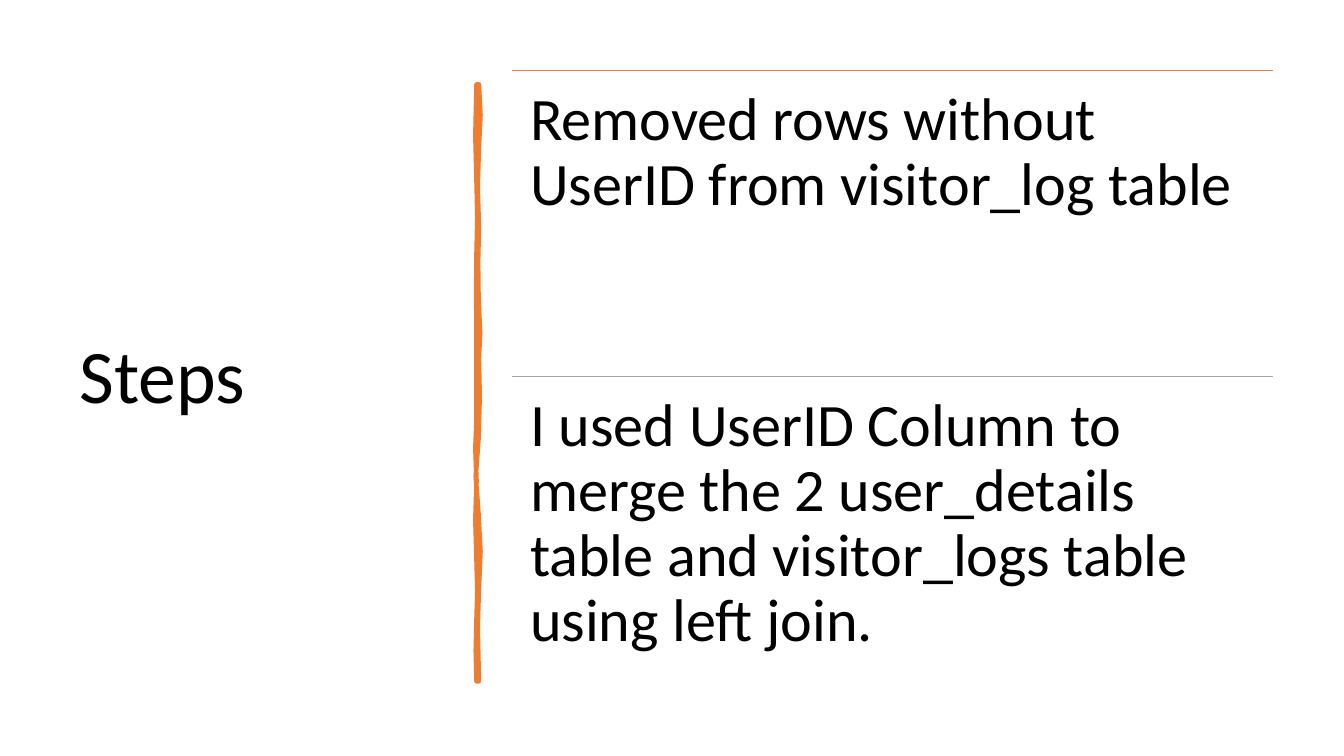
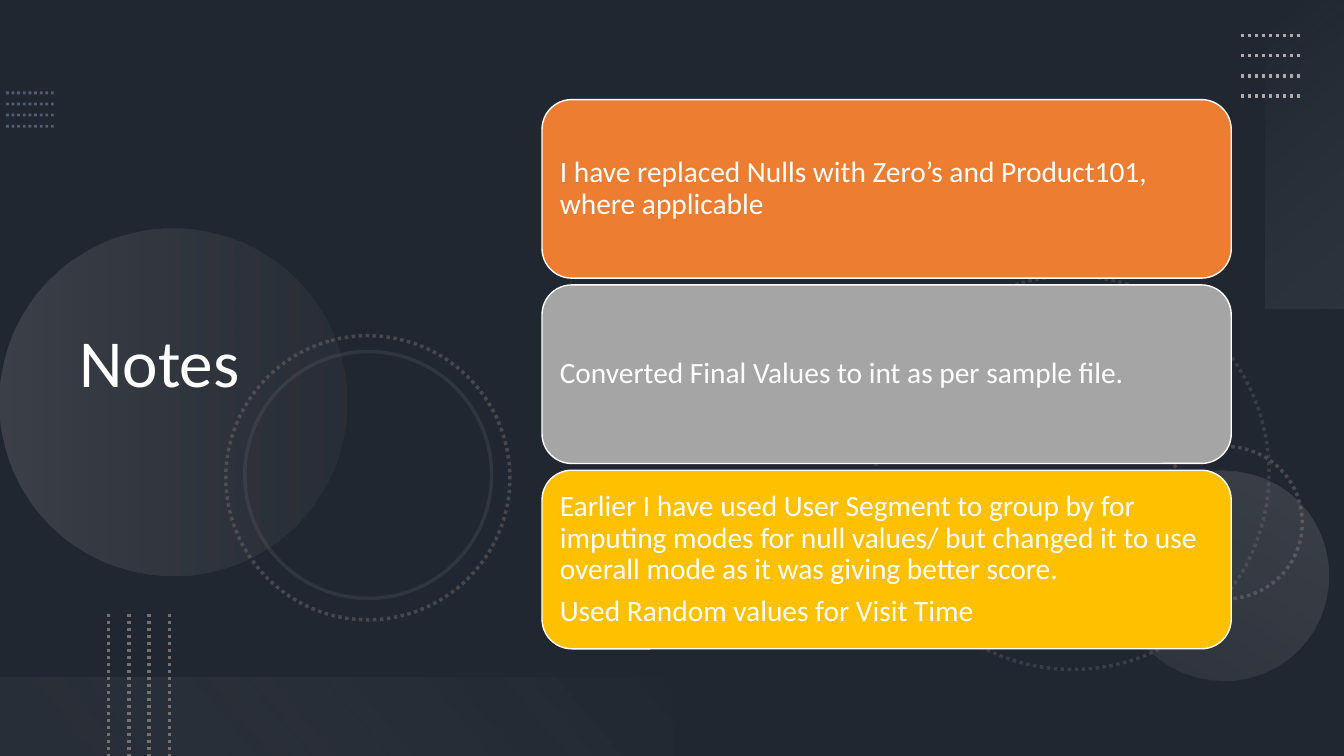
import pptx
import pptx.dml.color
import pptx.enum.dml
import pptx.enum.shapes
import pptx.enum.text
import pptx.oxml
import pptx.oxml.ns
import pptx.util
from pptx.util import Cm

FONT = "Calibri"
WHITE, BLACK = "FFFFFF", "000000"
ORANGE, GREY, GOLD = "ED7D31", "A5A5A5", "FFC000"
SLATE, BLUE_GREY = "44546A", "8497B0"
DARK_GREY, LIGHT_GREY = "767171", "AFABAB"
WIDTH, HEIGHT = 33.87, 19.05  # all lengths are centimetres

STEPS = [
    ("Removed rows without UserID from visitor_log table", ORANGE),
    ("I used UserID Column to merge the 2 user_details table and "
     "visitor_logs table using left join.", GREY),
]
NOTES = [
    (["I have replaced Nulls with Zero’s and Product101, where applicable"], ORANGE),
    (["Converted Final Values to int as per sample file."], GREY),
    (["Earlier I have used User Segment to group by for imputing modes for null values/ "
      "but changed it to use overall mode as it was giving better score.",
      "Used Random values for Visit Time"], GOLD),
]

# Hand-drawn bar: x and y of the right edge downwards, then the left edge upwards
BAR_EDGE = [
    (12.07, 2.13), (12.11, 2.9), (12.07, 3.71), (12.04, 4.7), (12.07, 5.74),
    (12.05, 6.6), (12.06, 7.47), (12.1, 8.4), (12.07, 9.04), (12.09, 10),
    (12.06, 11.07), (11.99, 12), (12.06, 12.95), (12.11, 13.9), (12.07, 14.83),
    (12.04, 15.8), (12.07, 17.17),
    (12.01, 17.17), (11.99, 16.4), (12.01, 15.57), (12.03, 14.9), (12.01, 14.15),
    (11.98, 13.1), (12.01, 12.12), (11.98, 11.3), (12.01, 10.54), (12.01, 9.5),
    (12.01, 8.51), (12, 7.4), (12.01, 6.35), (12.03, 5.5), (12.01, 4.6),
    (11.98, 3.4), (12.01, 2.13),
]

# left, top, diameter, rotation, dotted, opacity
BIG_RING = (22.07, 6.96, 9.91, 75, True, 30)
SMALL_RING = (28.98, 11.25, 3.84, 270, True, 45)
LEFT_RINGS = [(5.69, 8.46, 7.16, 75, True, 45), (6.17, 8.86, 6.22, 75, False, 20)]

# left, top, width, height, rotation, angle, (colour, position, opacity) stops
DISCS = [
    (0, 5.77, 8.74, 8.74, 270, 90, [(LIGHT_GREY, 0, 20), (DARK_GREY, 1, 10)]),
    (28.19, 11.86, 5.28, 5.28, 210, 90, [(LIGHT_GREY, 0, 10), (LIGHT_GREY, 1, 20)]),
]
CORNER_PANEL = (29.01, 2.9, 7.77, 1.98, 270, 140,
                [("F5F5F5", 0, 0), (LIGHT_GREY, 1, 10)])
BOTTOM_PANEL = (0, 17.07, 16.94, 1.98, 180, 140,
                [(DARK_GREY, 0.1, 10), ("F1F0F0", 1, 0)])

SHAPE = pptx.enum.shapes.MSO_SHAPE
ANCHOR = pptx.enum.text.MSO_ANCHOR
DOTTED = pptx.enum.dml.MSO_LINE.ROUND_DOT


def color(value):
    return pptx.dml.color.RGBColor.from_string(value)


def set_opacity(shape, *percentages):
    """Give the shape's colours, in file order, these opacities."""
    colors = shape._element.spPr.iter(pptx.oxml.ns.qn("a:srgbClr"))
    for element, percentage in zip(colors, percentages):
        alpha = pptx.oxml.parse_xml(f"<a:alpha {pptx.oxml.ns.nsdecls('a')}/>")
        alpha.set("val", str(percentage * 1000))
        element.append(alpha)


def format_line(shape, value, width, dotted=False):
    shape.line.color.rgb = color(value)
    shape.line.width = pptx.util.Pt(width)
    if dotted:
        shape.line.dash_style = DOTTED


def add_shape(slide, kind, left, top, width, height, fill=None, rotation=0):
    shape = slide.shapes.add_shape(kind, Cm(left), Cm(top), Cm(width), Cm(height))
    shape.shadow.inherit = False
    shape.rotation = rotation
    shape.line.fill.background()
    if fill:
        shape.fill.solid()
        shape.fill.fore_color.rgb = color(fill)
    else:
        shape.fill.background()
    return shape


def add_line(slide, start, end, value, width, dotted=False, opacity=100):
    line = slide.shapes.add_connector(
        pptx.enum.shapes.MSO_CONNECTOR.STRAIGHT, *map(Cm, start + end))
    format_line(line, value, width, dotted)
    if opacity < 100:
        set_opacity(line, opacity)
    line._element.spPr.append(
        pptx.oxml.parse_xml(f"<a:effectLst {pptx.oxml.ns.nsdecls('a')}/>"))


def write_text(shape, paragraphs, size, value, anchor, margin=None, space_after=0):
    frame = shape.text_frame
    frame.word_wrap = True
    frame.vertical_anchor = anchor
    if margin is not None:
        frame.margin_left = frame.margin_right = Cm(margin)
        frame.margin_top = frame.margin_bottom = Cm(margin)
    for index, text in enumerate(paragraphs):
        paragraph = frame.add_paragraph() if index else frame.paragraphs[0]
        paragraph.alignment = pptx.enum.text.PP_ALIGN.LEFT
        paragraph.line_spacing = 0.9
        paragraph.space_after = pptx.util.Pt(space_after)
        run = paragraph.add_run()
        run.text = text
        run.font.name = FONT
        run.font.size = pptx.util.Pt(size)
        run.font.color.rgb = color(value)


def add_text(slide, left, top, width, height, paragraphs, **text_format):
    box = slide.shapes.add_textbox(Cm(left), Cm(top), Cm(width), Cm(height))
    write_text(box, paragraphs, **text_format)


def add_title(slide, text, top, width, height, size, value):
    add_text(slide, 1.75, top, width, height, [text],
             size=size, value=value, anchor=ANCHOR.MIDDLE)


def add_slide(presentation, background):
    slide = presentation.slides.add_slide(presentation.slide_layouts[6])
    slide.background.fill.solid()
    slide.background.fill.fore_color.rgb = color(background)
    return slide


def add_bar(slide):
    builder = slide.shapes.build_freeform(*map(Cm, BAR_EDGE[0]), scale=1.0)
    builder.add_line_segments([(Cm(x), Cm(y)) for x, y in BAR_EDGE[1:]], close=True)
    bar = builder.convert_to_shape()
    bar.shadow.inherit = False
    bar.fill.solid()
    bar.fill.fore_color.rgb = color(ORANGE)
    format_line(bar, ORANGE, 3.25)


def add_ring(slide, left, top, diameter, rotation, dotted, opacity):
    ring = add_shape(slide, SHAPE.OVAL, left, top, diameter, diameter, rotation=rotation)
    format_line(ring, DARK_GREY, 2.5, dotted)
    set_opacity(ring, opacity)


def add_gradient(slide, kind, left, top, width, height, rotation, angle, stops):
    shape = add_shape(slide, kind, left, top, width, height, rotation=rotation)
    shape.fill.gradient()
    shape.fill.gradient_angle = 360 - angle
    for stop, (value, position, _) in zip(shape.fill.gradient_stops, stops):
        stop.color.rgb = color(value)
        stop.position = position
    set_opacity(shape, *[opacity for _, _, opacity in stops])


def add_dot_rows(slide, left, top, length, step, value, width, vertical=False, opacity=100):
    """Draw four parallel dotted lines, one step apart."""
    for index in range(4):
        offset = index * step
        if vertical:
            start, end = (left + offset, top), (left + offset, top + length)
        else:
            start, end = (left, top + offset), (left + length, top + offset)
        add_line(slide, start, end, value, width, True, opacity)


def build_steps(presentation):
    slide = add_slide(presentation, WHITE)
    add_title(slide, "Steps", 1.78, 9.5, 15.52, 54, BLACK)
    add_bar(slide)
    left, width, row_height = 12.9, 19.18, 7.7
    for index, (text, accent) in enumerate(STEPS):
        top = 1.78 + index * row_height
        add_line(slide, (left, top), (left + width, top), accent, 1)
        add_text(slide, left, top, width, row_height, [text], size=43, value=BLACK,
                 anchor=ANCHOR.TOP, margin=0.46)


def add_decoration(slide):
    overlay = add_shape(slide, SHAPE.RECTANGLE, 0, 0, WIDTH, HEIGHT, BLACK)
    set_opacity(overlay, 53)
    add_dot_rows(slide, 0.15, 2.34, 1.2, 0.28, BLUE_GREY, 2, opacity=50)
    for ring in (BIG_RING, SMALL_RING):
        add_ring(slide, *ring)
    for disc in DISCS:
        add_gradient(slide, SHAPE.OVAL, *disc)
    for ring in LEFT_RINGS:
        add_ring(slide, *ring)
    add_gradient(slide, SHAPE.RECTANGLE, *CORNER_PANEL)
    add_dot_rows(slide, 31.27, 0.89, 1.52, 0.51, LIGHT_GREY, 2.5)
    add_gradient(slide, SHAPE.RECTANGLE, *BOTTOM_PANEL)
    add_dot_rows(slide, 2.74, 15.47, 3.58, 0.51, DARK_GREY, 2.5, vertical=True)


def build_notes(presentation):
    slide = add_slide(presentation, SLATE)
    add_decoration(slide)
    add_title(slide, "Notes", 1.37, 11.66, 15.67, 48, WHITE)
    card_height, gap = 4.5, 0.17
    for index, (paragraphs, fill) in enumerate(NOTES):
        top = 2.51 + index * (card_height + gap)
        card = add_shape(slide, SHAPE.ROUNDED_RECTANGLE, 13.66, top, 17.37,
                         card_height, fill)
        format_line(card, WHITE, 1)
        write_text(card, paragraphs, size=21, value=WHITE, anchor=ANCHOR.MIDDLE,
                   margin=0.23, space_after=7)


def main():
    presentation = pptx.Presentation()
    presentation.slide_width = Cm(WIDTH)
    presentation.slide_height = Cm(HEIGHT)
    build_steps(presentation)
    build_notes(presentation)
    presentation.save("out.pptx")


if __name__ == "__main__":
    main()
